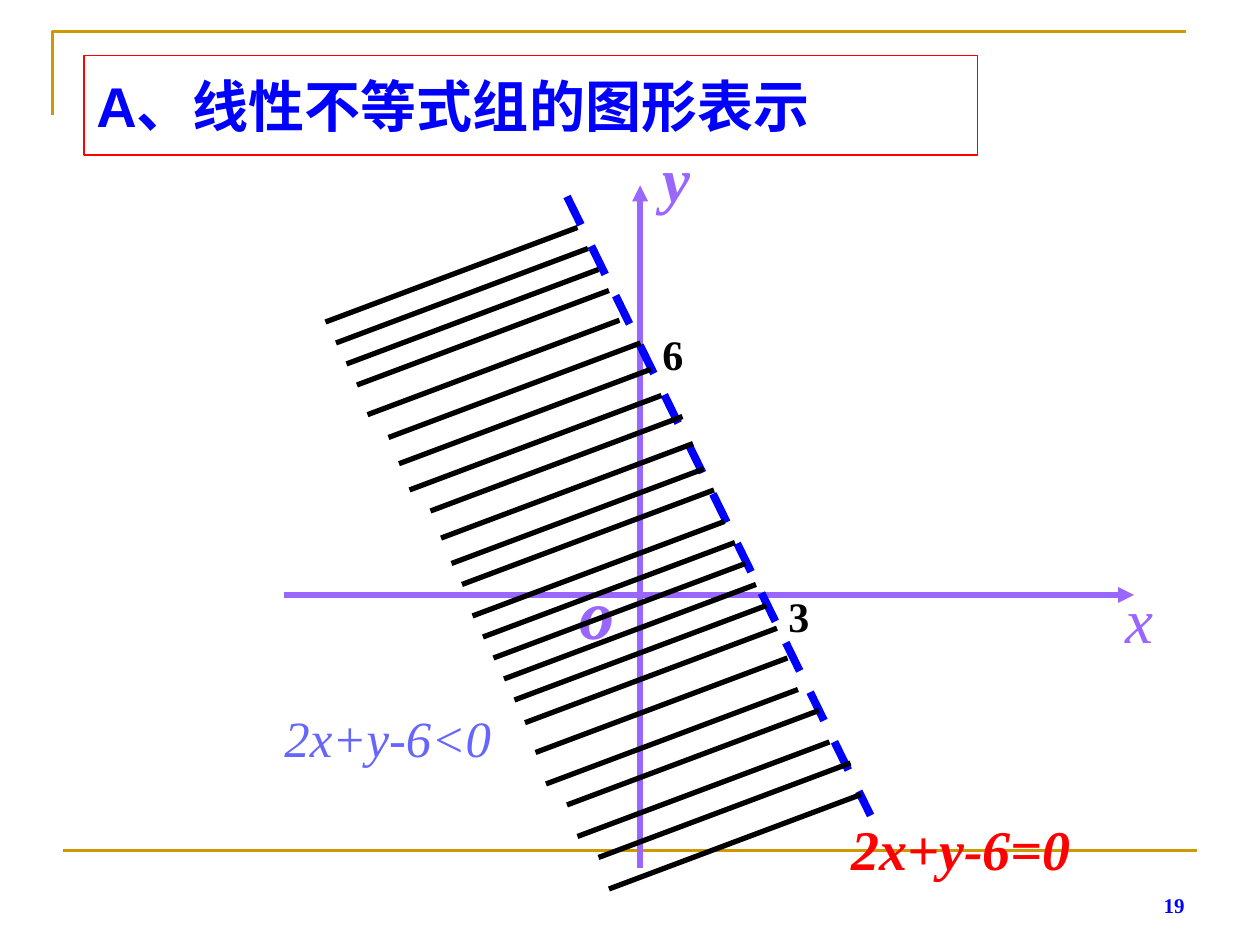
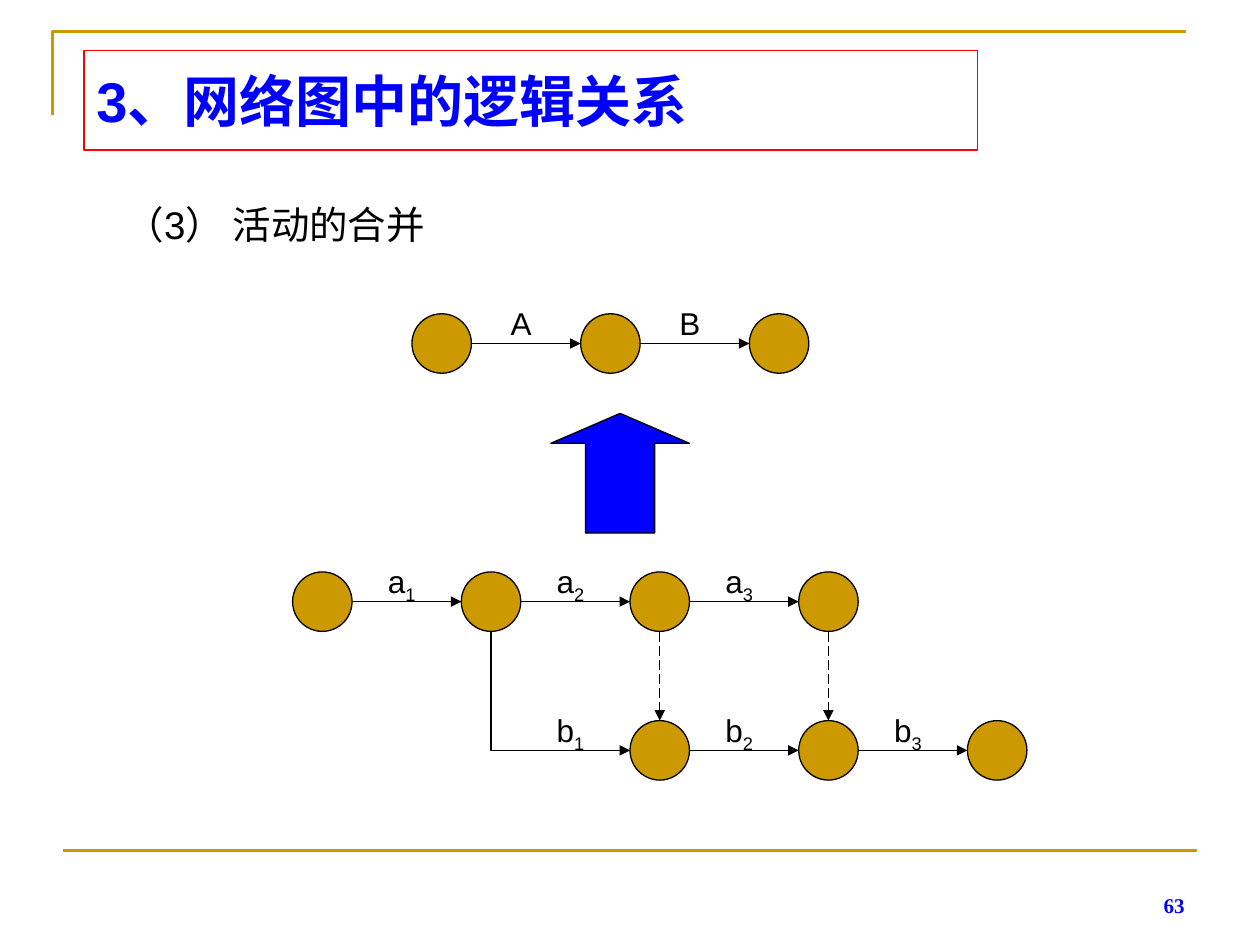
from lxml import etree
from pptx import Presentation
from pptx.dml.color import RGBColor
from pptx.enum.dml import MSO_LINE
from pptx.enum.shapes import MSO_CONNECTOR, MSO_SHAPE
from pptx.enum.text import MSO_ANCHOR, PP_ALIGN
from pptx.oxml.ns import qn
from pptx.util import Pt

# Shared look
COLORS = {"gold": "CC9900", "axis": "9966FF", "blue": "0000FF", "red": "FF0000",
          "black": "000000", "region": "6666FF"}
SERIF, SANS = "Times New Roman", "Arial"
BLACK_LINE = 0.75

# Slide 1: half-plane of a linear inequality
INEQUALITY = {"title": "A、线性不等式组的图形表示", "title_top": 31.7, "number": "19"}
AXES = [((365.8, 496), (365.8, 106)), ((162, 340), (648, 340))]
BOUNDARY = ((324, 112.3), (497.5, 466))
AXIS_LABELS = [  # text, box, format
    ("x", (636, 328.3, 36, 50.4), dict(size=36, color="axis", italic=True)),
    ("y", (371.5, 76.3, 36, 50.4), dict(size=36, color="axis", bold=True, italic=True)),
    ("o", (324, 322, 41.8, 55.4), dict(size=40, color="axis", bold=True, italic=True)),
]
INTERCEPTS = [("3", (443.5, 334, 36, 36)), ("6", (371.5, 184.3, 30, 36))]
FORMULAS = [
    ("2x+y-6<0", (155.5, 400.3, 144, 41.8), dict(size=29, color="region")),
    ("2x+y-6=0", (479.5, 465.8, 144, 41.8), dict(size=32, color="red", bold=True)),
]
HATCH_STARTS = [
    (330, 130), (336, 142), (342, 154), (348, 166), (354, 183), (366, 196),
    (372, 211), (378, 226), (390, 238), (396, 253.5), (402, 268), (408, 280),
    (414, 298), (420, 310), (426, 322), (432, 334), (438, 346), (444, 359),
    (450, 376), (456, 394), (468, 406), (474, 424), (486, 436), (492, 454),
]
HATCH_RUN = (-144, 54)

# Slide 2: merging activities in a network diagram
MERGING = {"title": "3、网络图中的逻辑关系", "title_top": 28.8, "number": "63"}
SUBTITLE = "（3） 活动的合并"
NODE, PITCH = 34, 96.4
MERGED = {"origin": (235.4, 179.3), "row_gap": 0,
          "nodes": [(0, 0), (1, 0), (2, 0)],
          "activities": [((0, 0), (1, 0), "A", ""), ((1, 0), (2, 0), "B", "")],
          "dummies": [], "branches": []}
DETAILED = {"origin": (167.2, 326.8), "row_gap": 85,
            "nodes": [(0, 0), (1, 0), (2, 0), (3, 0), (2, 1), (3, 1), (4, 1)],
            "activities": [((0, 0), (1, 0), "a", "1"), ((1, 0), (2, 0), "a", "2"),
                           ((2, 0), (3, 0), "a", "3"), ((2, 1), (3, 1), "b", "2"),
                           ((3, 1), (4, 1), "b", "3")],
            "dummies": [((2, 0), (2, 1)), ((3, 0), (3, 1))],
            "branches": [((1, 0), (2, 1), "b", "1")]}
MERGE_ARROW = (314.8, 236.2, 79.2, 68.4)


def rgb(name):
    return RGBColor.from_string(COLORS[name])


def points(values):
    return [Pt(value) for value in values]


def write(shape, text, *, size, color="black", font=SANS, bold=False, italic=False,
          align=PP_ALIGN.LEFT, anchor=MSO_ANCHOR.TOP, inset=True, spacing=None, sub=""):
    frame = shape.text_frame
    frame.word_wrap = True
    frame.vertical_anchor = anchor
    frame.margin_left = frame.margin_right = Pt(7.2 if inset else 0)
    frame.margin_top = frame.margin_bottom = Pt(3.6 if inset else 0)
    paragraph = frame.paragraphs[0]
    paragraph.alignment = align
    if spacing:
        paragraph.line_spacing = spacing
    for part in filter(None, (text, sub)):
        run = paragraph.add_run()
        run.text = part
        run.font.size, run.font.name = Pt(size), font
        run.font.bold, run.font.italic = bold, italic
        run.font.color.rgb = rgb(color)
    if sub:
        run.font._element.set("baseline", "-25000")


def add_text(slide, text, box, **fmt):
    write(slide.shapes.add_textbox(*points(box)), text, **fmt)


def add_outlined(slide, kind, box, line, fill=None):
    shape = slide.shapes.add_shape(kind, *points(box))
    shape.shadow.inherit = False
    shape.line.color.rgb, shape.line.width = rgb(line), Pt(BLACK_LINE)
    if fill:
        shape.fill.solid()
        shape.fill.fore_color.rgb = rgb(fill)
    else:
        shape.fill.background()
    return shape


def add_line(slide, start, end, color="black", width=BLACK_LINE, dash=None,
             arrow=False, kind=MSO_CONNECTOR.STRAIGHT):
    line = slide.shapes.add_connector(kind, *points(start + end))
    line.line.color.rgb, line.line.width = rgb(color), Pt(width)
    if dash:
        line.line.dash_style = dash
    if arrow:
        etree.SubElement(line.line._get_or_add_ln(), qn("a:tailEnd"), type="triangle")
    etree.SubElement(line._element.spPr, qn("a:effectLst"))
    return line


def add_down_then_right(slide, start, end):
    """Elbow arrow: a two-part bend, turned a quarter and mirrored."""
    (x1, y1), (x2, y2) = start, end
    mid_x, mid_y = (x1 + x2) / 2, (y1 + y2) / 2
    half_w, half_h = (y2 - y1) / 2, (x2 - x1) / 2
    elbow = add_line(slide, (mid_x - half_w, mid_y - half_h),
                     (mid_x + half_w, mid_y + half_h),
                     arrow=True, kind=MSO_CONNECTOR.ELBOW)
    properties = elbow._element.spPr
    properties.find(qn("a:prstGeom")).set("prst", "bentConnector2")
    frame = properties.find(qn("a:xfrm"))
    frame.set("rot", "16200000")
    frame.set("flipH", "1")


def start_slide(deck, heading):
    slide = deck.slides.add_slide(deck.slide_layouts[6])
    # Corner rule and bottom rule
    builder = slide.shapes.build_freeform(Pt(30), Pt(66), scale=1.0)
    builder.add_line_segments([points((30, 18)), points((678, 18))], close=False)
    corner = builder.convert_to_shape()
    corner.shadow.inherit = False
    corner.fill.background()
    corner.line.color.rgb, corner.line.width = rgb("gold"), Pt(1.5)
    add_line(slide, (36, 486), (684, 486), "gold", 1.5)
    # Title box and page number
    title = add_outlined(slide, MSO_SHAPE.RECTANGLE,
                         (48, heading["title_top"], 510.5, 56.9), "red")
    write(title, heading["title"], size=32, color="blue", bold=True,
          anchor=MSO_ANCHOR.MIDDLE)
    add_text(slide, heading["number"], (516, 492, 168, 36), size=12, color="blue",
             font=SERIF, bold=True, align=PP_ALIGN.RIGHT, anchor=MSO_ANCHOR.BOTTOM)
    return slide


def add_network(slide, network):
    left, top = network["origin"]

    def corner(node):
        return left + node[0] * PITCH, top + node[1] * network["row_gap"]

    def side(node, across, down):
        x, y = corner(node)
        return x + across * NODE, y + down * NODE

    def label(target, letter, index):
        x, y = corner(target)
        add_text(slide, letter, (x - 45.2, y - 5.6, 22.4, 24), size=18, sub=index,
                 align=PP_ALIGN.CENTER, inset=False)

    for node in network["nodes"]:
        add_outlined(slide, MSO_SHAPE.OVAL, corner(node) + (NODE, NODE), "black", "gold")
    for source, target, letter, index in network["activities"]:
        add_line(slide, side(source, 1, 0.5), side(target, 0, 0.5), arrow=True)
        label(target, letter, index)
    for source, target in network["dummies"]:
        add_line(slide, side(source, 0.5, 1), side(target, 0.5, 0),
                 dash=MSO_LINE.LONG_DASH, arrow=True)
    for source, target, letter, index in network["branches"]:
        add_down_then_right(slide, side(source, 0.5, 1), side(target, 0, 0.5))
        label(target, letter, index)


def build_inequality(deck):
    slide = start_slide(deck, INEQUALITY)
    for start, end in AXES:
        add_line(slide, start, end, "axis", 3, arrow=True)
    for text, box, fmt in AXIS_LABELS:
        add_text(slide, text, box, font=SERIF, **fmt)
    add_line(slide, *BOUNDARY, "blue", 4.5, dash=MSO_LINE.DASH)
    for text, box in INTERCEPTS:
        add_text(slide, text, box, size=24, font=SERIF, bold=True)
    for x, y in HATCH_STARTS:
        add_line(slide, (x, y), (x + HATCH_RUN[0], y + HATCH_RUN[1]), width=3)
    for text, box, fmt in FORMULAS:
        add_text(slide, text, box, font=SERIF, italic=True,
                 anchor=MSO_ANCHOR.BOTTOM, **fmt)


def build_merging(deck):
    slide = start_slide(deck, MERGING)
    add_text(slide, SUBTITLE, (64.8, 105.8, 589.7, 38.9), size=22, spacing=1.2)
    add_network(slide, MERGED)
    add_network(slide, DETAILED)
    arrow = add_outlined(slide, MSO_SHAPE.UP_ARROW, MERGE_ARROW, "black", "blue")
    arrow.adjustments[1] = 0.25


def main():
    deck = Presentation()
    deck.slide_width, deck.slide_height = Pt(720), Pt(540)
    build_inequality(deck)
    build_merging(deck)
    deck.save("out.pptx")


if __name__ == "__main__":
    main()
